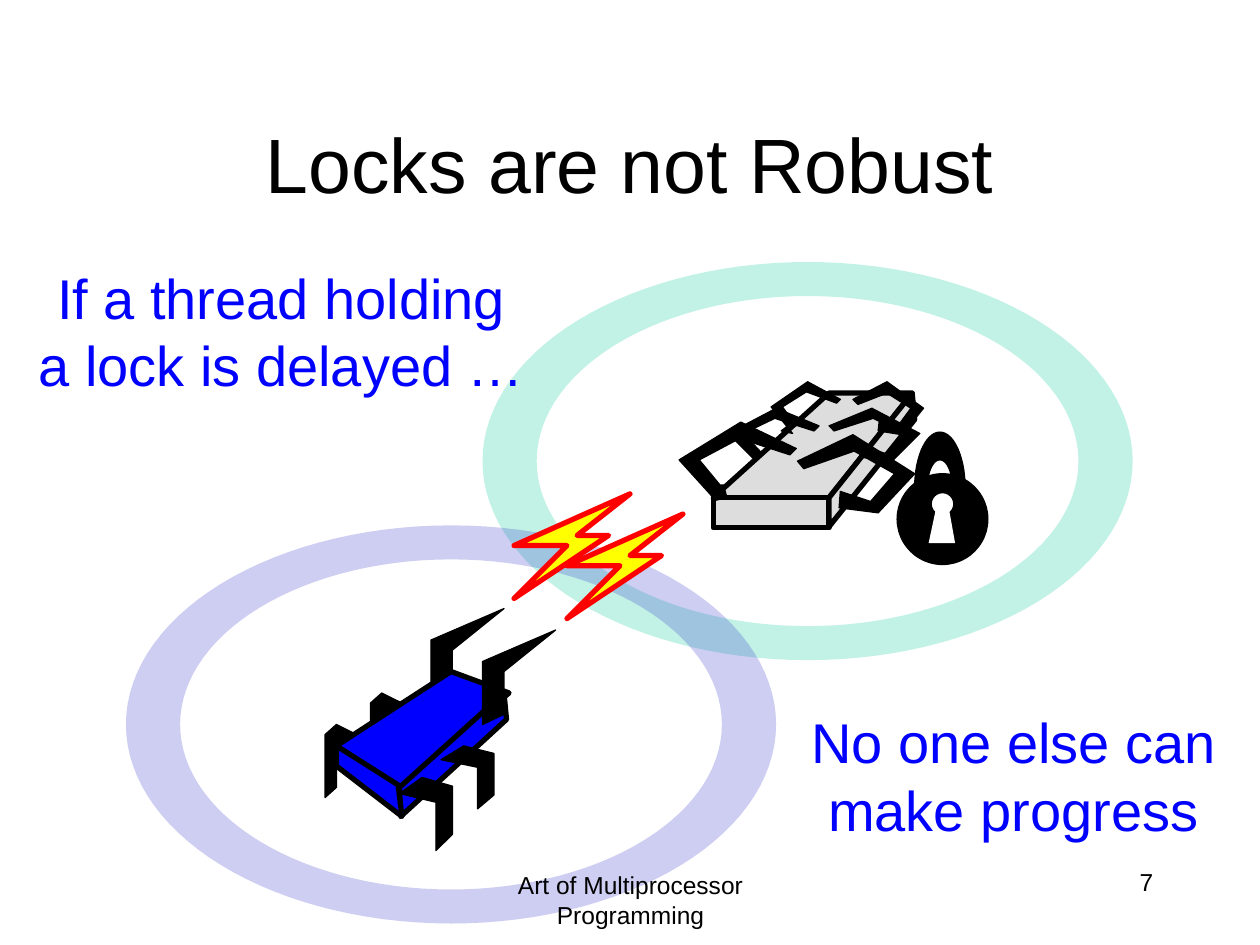
from dataclasses import dataclass
from math import cos, pi, sin

from lxml import etree
from pptx import Presentation
from pptx.dml.color import RGBColor
from pptx.enum.shapes import MSO_SHAPE
from pptx.enum.text import MSO_ANCHOR, PP_ALIGN
from pptx.oxml.ns import qn
from pptx.util import Inches, Pt

OVAL = MSO_SHAPE.OVAL
RECT = MSO_SHAPE.RECTANGLE
MIDDLE = MSO_ANCHOR.MIDDLE
CENTER = PP_ALIGN.CENTER
RIGHT = PP_ALIGN.RIGHT


@dataclass(frozen=True)
class Theme:
    font: str = "Arial"
    black: str = "000000"
    white: str = "FFFFFF"
    blue: str = "0000FF"
    gray: str = "DDDDDD"
    green: str = "00CC99"
    violet: str = "3333CC"
    yellow: str = "FFFF00"
    red: str = "FF0000"
    title: int = 44
    body: int = 32
    small: int = 14
    thin: float = 0.75
    thick: float = 3


THEME = Theme()

BOLT = [(0, .83), (.42, .41), (0, .41), (.92, 0), (.5, .33), (.75, .33)]
FEELER = [(0, .75), (.17, .67), (.17, .33), (.58, 0), (0, .25)]
CLAW = [(.25, .08), (.09, 0), (0, .08), (0, .58),
        (.09, .5), (.09, .17), (.25, .25)]
HOOK = [(.18, 0), (0, .11), (.29, .17), (.29, .5), (.42, .39), (.42, .06)]

BUG_BODY = [
    [(3.58, 5.33), (2.67, 5.92), (3.18, 6.26), (4.04, 5.5)],
    [(4, 5.5), (3.17, 6.25), (3.18, 6.48), (4.02, 5.71)],
    [(2.67, 5.92), (2.67, 6.08), (3.19, 6.48), (3.16, 6.23)],
]
SPIDER_TOP = [(7.24, 3.12), (6.58, 3.95), (5.66, 3.95), (6.58, 3.12)]
SPIDER_SIDE = [(7.24, 3.12), (7.26, 3.33), (6.58, 4.18), (6.58, 3.95)]
SPIDER_LEGS = [
    [(6.67, 3.9), (6.66, 4.03), (6.97, 4.07), (7.26, 3.76), (6.77, 3.45),
     (6.33, 3.66), (6.38, 3.72), (6.78, 3.58), (7.1, 3.76), (6.91, 3.98)],
    [(6.85, 3.54), (6.84, 3.63), (7.08, 3.66), (7.3, 3.44), (6.92, 3.24),
     (6.58, 3.38), (6.62, 3.42), (6.93, 3.32), (7.18, 3.44), (7.03, 3.6)],
    [(6.98, 3.33), (6.97, 3.42), (7.16, 3.45), (7.33, 3.24), (7.04, 3.03),
     (6.77, 3.17), (6.81, 3.21), (7.04, 3.12), (7.23, 3.24), (7.12, 3.39)],
    [(6.09, 3.53), (6.05, 3.61), (6, 3.66), (5.78, 3.44), (6.16, 3.24),
     (6.5, 3.38), (6.46, 3.42), (6.15, 3.32), (5.9, 3.44), (6.05, 3.6)],
    [(6.32, 3.33), (6.2, 3.42), (6.29, 3.44), (6.12, 3.23), (6.41, 3.03),
     (6.67, 3.17), (6.64, 3.2), (6.4, 3.11), (6.21, 3.23), (6.32, 3.38)],
    [(5.72, 3.9), (5.75, 3.88), (5.77, 3.95), (5.68, 3.97), (5.39, 3.65),
     (5.88, 3.35), (6.32, 3.56), (6.27, 3.61), (5.87, 3.48), (5.55, 3.65),
     (5.74, 3.88), (5.72, 3.85), (5.78, 3.85)],
]
KEYHOLE = [(7.37, 4.31), (7.43, 4.03), (7.53, 4.03), (7.58, 4.31)]


def paint(shape, fill, line=None, width=THEME.thin):
    shape.shadow.inherit = False
    shape.fill.solid()
    shape.fill.fore_color.rgb = RGBColor.from_string(fill)
    if line is None:
        shape.line.fill.background()
    else:
        shape.line.color.rgb = RGBColor.from_string(line)
        shape.line.width = Pt(width)


def draw(shapes, loops, fill, line=None, width=THEME.thin):
    loops = [[(Inches(x), Inches(y)) for x, y in loop] for loop in loops]
    pen = shapes.build_freeform(*loops[0][0])
    pen.add_line_segments(loops[0][1:])
    for loop in loops[1:]:
        pen.move_to(*loop[0])
        pen.add_line_segments(loop[1:])
    shape = pen.convert_to_shape()
    paint(shape, fill, line, width)
    return shape


def preset(shapes, kind, box, fill, line, width=THEME.thin):
    shape = shapes.add_shape(kind, *map(Inches, box))
    paint(shape, fill, line, width)


def shift(points, x, y, tall=1):
    return [(x + px, y + py * tall) for px, py in points]


def arc(x, y, wide, high, start, end, steps):
    turns = [start + (end - start) * i / steps for i in range(steps + 1)]
    return [(x + wide * cos(t), y + high * sin(t)) for t in turns]


def ring(shapes, left, top, color):
    x, y = left + 2.58, top + 1.58
    outer = arc(x, y, 2.58, 1.58, 0, 2 * pi, 120)
    inner = arc(x, y, 2.15, 1.31, 2 * pi, 0, 120)
    shape = draw(shapes, [outer, inner], color)
    tint = shape.fill._xPr.find(qn("a:solidFill"))[0]
    etree.SubElement(tint, qn("a:alpha")).set("val", "24000")


def bolt(shapes, x, y):
    draw(shapes, [shift(BOLT, x, y)], THEME.yellow, THEME.red, THEME.thick)


def bug(shapes):
    def limb(points, x, y, tall=1):
        draw(shapes, [shift(points, x, y, tall)], THEME.black, THEME.black)

    limb(FEELER, 3.42, 4.83)
    limb(CLAW, 2.58, 5.75)
    limb(CLAW, 2.94, 5.5)
    for face in BUG_BODY:
        draw(shapes, [face], THEME.blue, THEME.black, THEME.thick)
    limb(HOOK, 3.17, 6.17, 1.16)
    limb(HOOK, 3.5, 5.92)
    limb(FEELER, 3.83, 5)


def spider(shapes):
    gray, black, thick = THEME.gray, THEME.black, THEME.thick
    draw(shapes, [SPIDER_TOP], gray, black, thick)
    preset(shapes, RECT, (5.66, 3.95, .92, .24), gray, black, thick)
    draw(shapes, [SPIDER_SIDE], gray, black, thick)
    for leg in SPIDER_LEGS:
        draw(shapes, [leg], black, black)


def lock(shapes):
    black, white = THEME.black, THEME.white
    preset(shapes, OVAL, (7.12, 3.76, .72, .72), black, black)
    preset(shapes, OVAL, (7.39, 3.91, .18, .18), white, black)
    draw(shapes, [KEYHOLE], white)
    outer = arc(7.46, 3.87, .2, .44, pi, 2 * pi, 30)
    inner = arc(7.46, 3.87, .1, .22, 2 * pi, pi, 30)
    draw(shapes, [outer + inner], black, black)


def write(frame, lines, size, color, align=CENTER):
    frame.word_wrap = True
    for i, line in enumerate(lines):
        para = frame.add_paragraph() if i else frame.paragraphs[0]
        para.alignment = align
        run = para.add_run()
        run.text = line
        run.font.name = THEME.font
        run.font.size = Pt(size)
        run.font.color.rgb = RGBColor.from_string(color)


def label(shapes, box, lines, size, color, align=CENTER):
    shape = shapes.add_textbox(*map(Inches, box))
    write(shape.text_frame, lines, size, color, align)


def head(shape, text):
    shape.left, shape.top = Inches(.75), Inches(.67)
    shape.width, shape.height = Inches(8.5), Inches(1.25)
    shape.text_frame.vertical_anchor = MIDDLE
    write(shape.text_frame, [text], THEME.title, THEME.black)


def main():
    deck = Presentation()
    deck.slide_width, deck.slide_height = Inches(10), Inches(7.5)
    slide = deck.slides.add_slide(deck.slide_layouts[5])
    shapes = slide.shapes
    head(shapes.title, "Locks are not Robust")
    label(shapes, (7.17, 6.83, 2.08, .5), ["7"],
          THEME.small, THEME.black, RIGHT)
    spider(shapes.add_group_shape().shapes)
    lock(shapes.add_group_shape().shapes)
    ring(shapes, 3.83, 2.08, THEME.green)
    ring(shapes, 1, 4.17, THEME.violet)
    bolt(shapes, 4.08, 3.92)
    bug(shapes.add_group_shape().shapes)
    bolt(shapes, 4.5, 4.08)
    label(shapes, (0, 2.04, 4.47, 1.17),
          ["If a thread holding", "a lock is delayed …"],
          THEME.body, THEME.blue)
    label(shapes, (5.81, 5.57, 4.47, 1.17), ["No one else can make progress"],
          THEME.body, THEME.blue)
    label(shapes, (3.42, 6.86, 3.17, .5),
          ["Art of Multiprocessor Programming"], THEME.small, THEME.black)
    deck.save("out.pptx")


if __name__ == "__main__":
    main()
